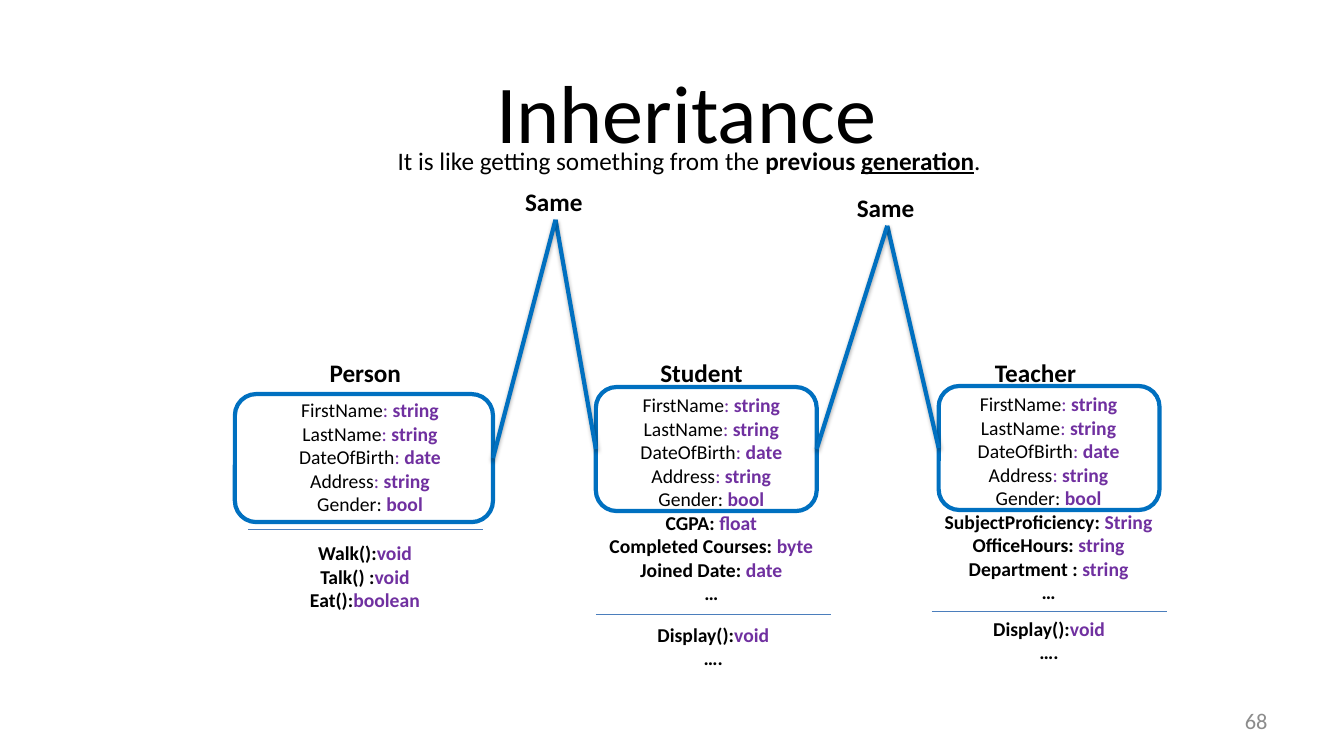
"""Builds the Inheritance slide: three classes and the fields they share."""
from lxml import etree
from pptx import Presentation
from pptx import util as u
from pptx.dml.color import RGBColor
from pptx.enum import shapes, text
from pptx.oxml.ns import qn

HUE = {"ink": "000000", "type": "7030A0", "box": "0070C0", "rule": "4B7EBC", "page": "8C8C8C"}
LOOK = {
    "plain": {"bold": False},
    "bold": {"bold": True},
    "under": {"bold": True, "underline": True},
}
LEFT, MID, RIGHT = text.PP_ALIGN.LEFT, text.PP_ALIGN.CENTER, text.PP_ALIGN.RIGHT

TITLE = "Inheritance"
MOTTO = [[
    ("It is like getting something from the ", "ink", "plain"),
    ("previous ", "ink", "bold"),
    ("generation", "ink", "under"),
    (".", "ink", "plain"),
]]
PAGE = [[("68", "page", "plain")]]
SHARED = [("FirstName", "string"), ("LastName", "string"), ("DateOfBirth", "date"), ("Address", "string")]
SHOW = [("Display():", "void"), ("….", "")]
CLASSES = [
    {
        "name": "Person", "head": (3.17, 3.5, 1.18, 0.4),
        "own": [], "fields": (2.74, 3.9, 1.86, 1.28),
        "calls": [("Walk():", "void"), ("Talk() :", "void"), ("Eat():", "boolean")],
        "acts": (2.87, 5.32, 1.5, 0.81),
        "rule": (2.46, 5.25), "box": (2.33, 3.91, 2.56, 1.27),
    },
    {
        "name": "Student", "head": (6.45, 3.5, 1.12, 0.4),
        "own": [("CGPA: ", "float"), ("Completed Courses: ", "byte"), ("Joined Date: ", "date"), ("…", "")],
        "fields": (5.74, 3.85, 2.63, 2.22),
        "calls": SHOW, "acts": (6.32, 6.13, 1.51, 0.57),
        "rule": (5.91, 6.1), "box": (5.91, 3.84, 2.19, 1.23),
    },
    {
        "name": "Teacher", "head": (9.77, 3.5, 1.27, 0.4),
        "own": [("SubjectProficiency: ", "String"), ("OfficeHours: ", "string"),
                ("Department : ", "string"), ("…", "")],
        "fields": (9.1, 3.84, 2.6, 2.22),
        "calls": SHOW, "acts": (9.65, 6.07, 1.51, 0.57),
        "rule": (9.24, 6.07), "box": (9.31, 3.83, 2.19, 1.23),
    },
]
RULE = 2.33
PEAKS = [(5.51, 2.18), (8.8, 2.24)]
SAME = (0.4, 0.38, 0.9, 0.4)


def tint(name):
    return RGBColor.from_string(HUE[name])


def inch(nums):
    return [u.Inches(n) for n in nums]


def fill(frame, rows, size, align=MID, anchor=text.MSO_ANCHOR.TOP):
    form = {"word_wrap": True, "auto_size": text.MSO_AUTO_SIZE.NONE, "vertical_anchor": anchor}
    for key, val in form.items():
        setattr(frame, key, val)
    for i, row in enumerate(rows):
        para = frame.add_paragraph() if i else frame.paragraphs[0]
        para.alignment = align
        for words, hue, look in row:
            run = para.add_run()
            run.text = words
            for key, val in {"name": "Calibri", "size": u.Pt(size), **LOOK[look]}.items():
                setattr(run.font, key, val)
            run.font.color.rgb = tint(hue)


def label(slide, at, rows, size, **form):
    fill(slide.shapes.add_textbox(*inch(at)).text_frame, rows, size, **form)


def strong(pairs):
    return [[(word, hue, "bold") for word, hue in zip(pair, ("ink", "type")) if word] for pair in pairs]


def common():
    rows = [[(name, "ink", "plain"), (": ", "type", "plain"), (kind, "type", "bold")] for name, kind in SHARED]
    return rows + [[("Gender: ", "ink", "plain"), ("bool", "type", "bold")]]


def line(slide, start, end, hue, width, shade=False):
    link = slide.shapes.add_connector(shapes.MSO_CONNECTOR.STRAIGHT, *inch(start + end))
    link.line.color.rgb = tint(hue)
    link.line.width = u.Pt(width)
    list_ = etree.SubElement(link._element.spPr, qn("a:effectLst"))
    if shade:
        cast = etree.SubElement(list_, qn("a:outerShdw"), blurRad=str(u.Pt(3.1)), dist=str(u.Pt(1.8)),
                                dir="5400000", rotWithShape="0")
        color = etree.SubElement(cast, qn("a:srgbClr"), val=HUE["ink"])
        etree.SubElement(color, qn("a:alpha"), val="35000")


def frame_box(slide, at):
    box = slide.shapes.add_shape(shapes.MSO_SHAPE.ROUNDED_RECTANGLE, *inch(at))
    box.shadow.inherit = False
    box.fill.background()
    box.line.color.rgb = tint("box")
    box.line.width = u.Pt(3)


def main():
    deck = Presentation()
    deck.slide_width, deck.slide_height = inch((13.33, 7.5))
    slide = deck.slides.add_slide(deck.slide_layouts[5])
    title = slide.shapes.title
    for key, val in zip(("left", "top", "width", "height"), inch((1.93, 0.4, 9.75, 1.4))):
        setattr(title, key, val)
    middle = text.MSO_ANCHOR.MIDDLE
    fill(title.text_frame, [[(TITLE, "ink", "plain")]], 58.7, anchor=middle)
    label(slide, (9.56, 6.95, 3.11, 0.4), PAGE, 16, align=RIGHT, anchor=middle)
    label(slide, (1.93, 1.39, 9.81, 0.4), MOTTO, 18)

    for item in CLASSES:
        label(slide, item["head"], strong([(item["name"],)]), 18, align=LEFT)
        label(slide, item["fields"], common() + strong(item["own"]), 14)
        label(slide, item["acts"], strong(item["calls"]), 14)
        x, y = item["rule"]
        line(slide, (x, y), (x + RULE, y), "rule", 0.75)
        frame_box(slide, item["box"])

    boxes = [item["box"] for item in CLASSES]
    for peak, near, far in zip(PEAKS, boxes, boxes[1:]):
        x, y, wide, high = near
        line(slide, (far[0], far[1] + far[3] / 2), peak, "box", 3, True)
        line(slide, (x + wide, y + high / 2), peak, "box", 3, True)
        dx, dy, wide, high = SAME
        label(slide, (peak[0] - dx, peak[1] - dy, wide, high), strong([("Same",)]), 18, align=LEFT)
    deck.save("out.pptx")


if __name__ == "__main__":
    main()
